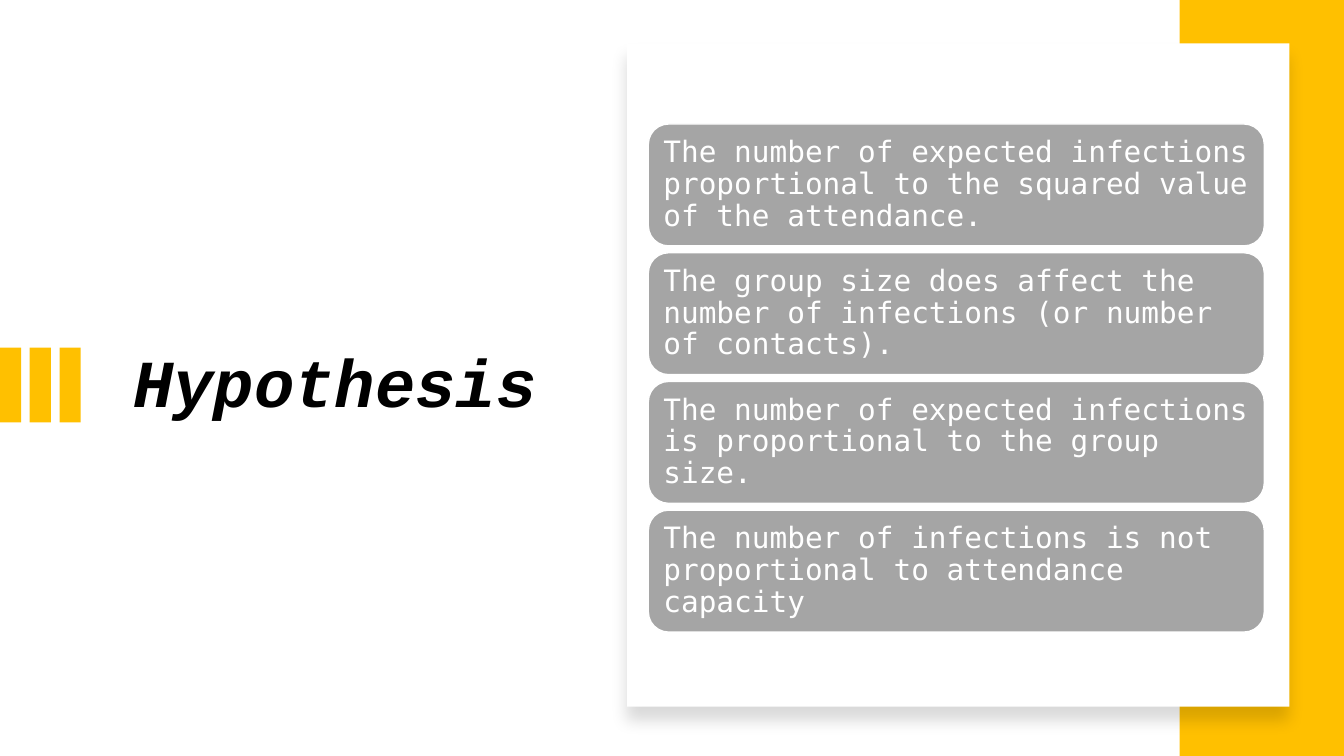
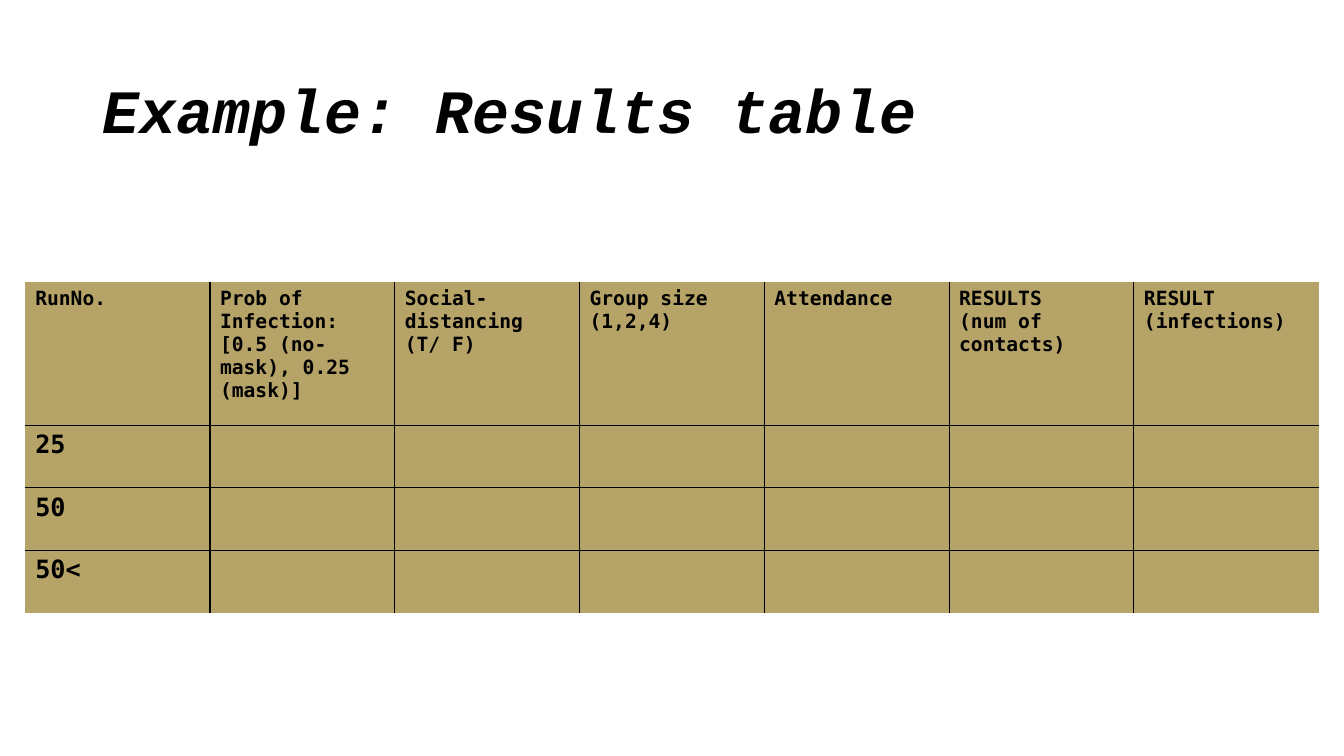
from dataclasses import dataclass

from lxml.etree import SubElement
from pptx import Presentation
from pptx.dml.color import RGBColor
from pptx.enum.shapes import MSO_SHAPE
from pptx.enum.text import MSO_ANCHOR, MSO_AUTO_SIZE, PP_ALIGN
from pptx.oxml.ns import qn
from pptx.shapes.autoshape import Shape
from pptx.slide import Slide
from pptx.table import _Cell
from pptx.text.text import _Paragraph
from pptx.util import Inches, Pt

BLACK, WHITE = "000000", "FFFFFF"
GOLD, GRAY, SAND = "FFC000", "A5A5A5", "B6A368"
TITLE_FONT, BODY_FONT = "Courier New", "DejaVu Sans Mono"
SLIDE_WIDTH, SLIDE_HEIGHT = 13.33, 7.5

HYPOTHESES = (
    "The number of expected infections proportional to the squared value of the attendance.",
    "The group size does affect the number of infections (or number of contacts).",
    "The number of expected infections is proportional to the group size.",
    "The number of infections is not proportional to attendance capacity",
)
HEADERS = (
    "RunNo.",
    "Prob of Infection: [0.5 (no-mask), 0.25 (mask)]",
    "Social-distancing\n(T/ F)",
    "Group size (1,2,4)",
    "Attendance",
    "RESULTS\n(num of contacts)",
    "RESULT\n(infections)",
)
RUNS = ("25", "50", "50<")


@dataclass(frozen=True)
class Area:
    """A rectangle on the slide, in inches."""

    left: float
    top: float
    width: float
    height: float

    def lengths(self) -> tuple[Inches, Inches, Inches, Inches]:
        return Inches(self.left), Inches(self.top), Inches(self.width), Inches(self.height)


def color(value: str) -> RGBColor:
    return RGBColor.from_string(value)


def style_paragraph(para: _Paragraph, name: str, size: float, ink: str,
                    bold: bool = False, italic: bool = False) -> None:
    font = para.font
    font.name, font.size = name, Pt(size)
    font.bold, font.italic = bold, italic
    font.color.rgb = color(ink)


def add_page(deck: Presentation, title: str, area: Area, size: float,
             anchor: MSO_ANCHOR) -> Slide:
    page = deck.slides.add_slide(deck.slide_layouts.get_by_name("Title Only"))
    box = page.shapes.title
    box.left, box.top, box.width, box.height = area.lengths()
    frame = box.text_frame
    frame.text = title
    frame.word_wrap = True
    frame.auto_size = MSO_AUTO_SIZE.NONE
    frame.vertical_anchor = anchor
    para = frame.paragraphs[0]
    para.alignment = PP_ALIGN.LEFT
    para.line_spacing = 0.9
    style_paragraph(para, TITLE_FONT, size, BLACK, bold=True, italic=True)
    return page


def add_block(page: Slide, area: Area, fill: str,
              kind: MSO_SHAPE = MSO_SHAPE.RECTANGLE) -> Shape:
    block = page.shapes.add_shape(kind, *area.lengths())
    block.shadow.inherit = False
    block.fill.solid()
    block.fill.fore_color.rgb = color(fill)
    block.line.fill.background()
    return block


def add_soft_shadow(block: Shape) -> None:
    effects = block._element.spPr.find(qn("a:effectLst"))
    shadow = SubElement(effects, qn("a:outerShdw"), blurRad=str(Pt(11)), dist=str(Pt(10)),
                        dir="5400000", algn="t", rotWithShape="0")
    ink = SubElement(shadow, qn("a:srgbClr"), val=BLACK)
    SubElement(ink, qn("a:alpha"), val="15000")


def add_card(page: Slide, area: Area, text: str) -> None:
    card = add_block(page, area, GRAY, MSO_SHAPE.ROUNDED_RECTANGLE)
    card.line.color.rgb = color(WHITE)
    card.line.width = Pt(1)
    frame = card.text_frame
    frame.word_wrap = True
    frame.vertical_anchor = MSO_ANCHOR.MIDDLE
    frame.margin_left = frame.margin_right = Inches(0.09)
    frame.margin_top = frame.margin_bottom = Inches(0.09)
    frame.text = text
    para = frame.paragraphs[0]
    para.alignment = PP_ALIGN.LEFT
    para.line_spacing = 0.9
    style_paragraph(para, BODY_FONT, 21, WHITE)


def set_borders(cell: _Cell, sides: dict[str, bool]) -> None:
    """Draw a thin black line on each side marked True and none on the others."""
    properties = cell._tc.get_or_add_tcPr()
    for side, visible in sides.items():
        line = SubElement(properties, qn(f"a:ln{side}"), w=str(Pt(1)))
        if visible:
            fill = SubElement(line, qn("a:solidFill"))
            SubElement(fill, qn("a:srgbClr"), val=BLACK)
        else:
            SubElement(line, qn("a:noFill"))


def add_results_table(page: Slide, area: Area, header_height: float) -> None:
    row_count, column_count = len(RUNS) + 1, len(HEADERS)
    table = page.shapes.add_table(row_count, column_count, *area.lengths()).table
    table.first_row = table.horz_banding = False
    run_height = (area.height - header_height) / len(RUNS)
    for column in table.columns:
        column.width = Inches(area.width / column_count)

    rows = [HEADERS] + [(run,) + ("",) * (column_count - 1) for run in RUNS]
    for r, texts in enumerate(rows):
        table.rows[r].height = Inches(run_height if r else header_height)
        for c, text in enumerate(texts):
            cell = table.cell(r, c)
            set_borders(cell, {"L": c > 0, "R": c < column_count - 1,
                               "T": r > 0, "B": r < row_count - 1})
            cell.fill.solid()
            cell.fill.fore_color.rgb = color(SAND)
            cell.text = text
            for para in cell.text_frame.paragraphs:
                style_paragraph(para, BODY_FONT, 18 if r else 14, BLACK, bold=True)


def build_hypothesis(deck: Presentation) -> None:
    page = add_page(deck, "Hypothesis", Area(1.22, 3.42, 4.41, 2.61), 48, MSO_ANCHOR.TOP)
    for i in range(3):
        add_block(page, Area(i * 0.295, 3.45, 0.21, 0.74), GOLD)
    band_left = 11.7
    add_block(page, Area(band_left, 0, SLIDE_WIDTH - band_left, SLIDE_HEIGHT), GOLD)
    add_soft_shadow(add_block(page, Area(6.22, 0.43, 6.57, 6.58), WHITE))
    for i, text in enumerate(HYPOTHESES):
        add_card(page, Area(6.43, 1.23 + i * 1.277, 6.11, 1.21), text)


def build_results(deck: Presentation) -> None:
    page = add_page(deck, "Example: Results table", Area(0.92, 0.4, 11.5, 1.45), 44,
                    MSO_ANCHOR.MIDDLE)
    add_results_table(page, Area(0.25, 2.8, 12.83, 3.28), header_height=1.42)


def main() -> None:
    deck = Presentation()
    deck.slide_width, deck.slide_height = Inches(SLIDE_WIDTH), Inches(SLIDE_HEIGHT)
    build_hypothesis(deck)
    build_results(deck)
    deck.save("out.pptx")


if __name__ == "__main__":
    main()
